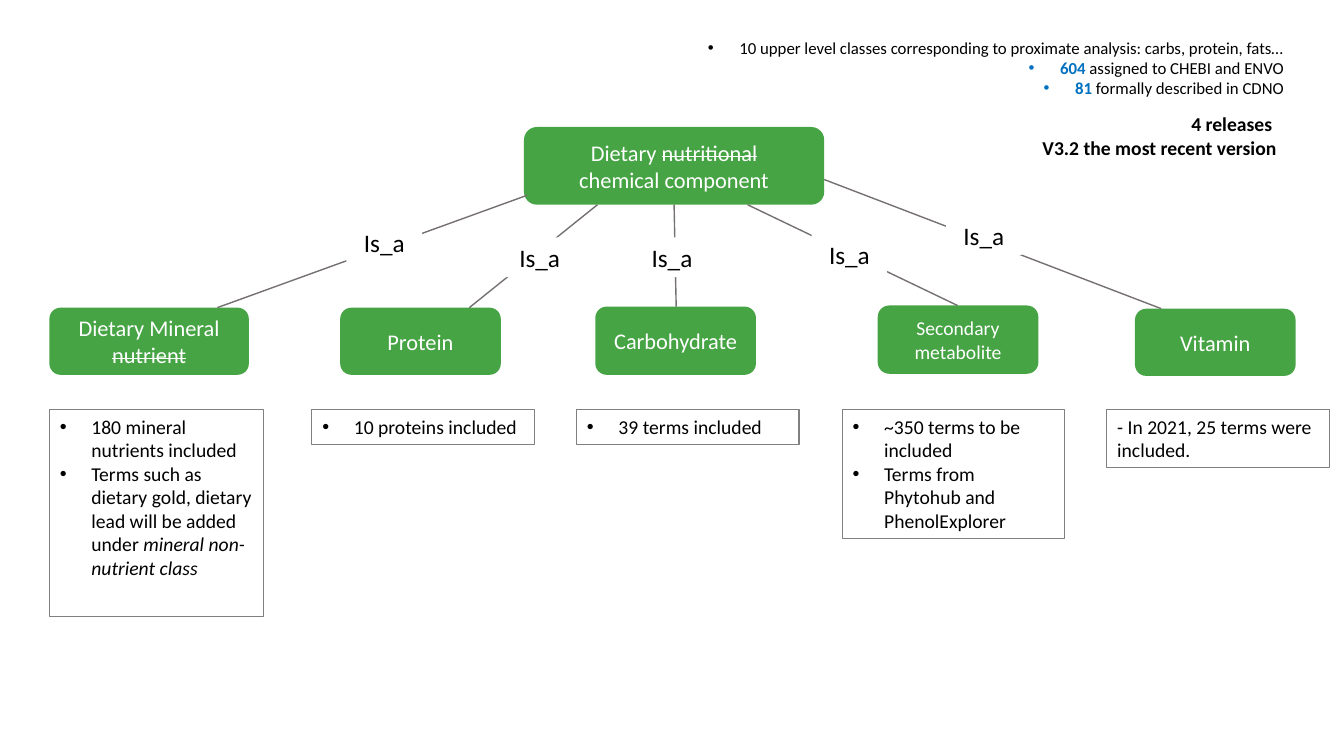
from dataclasses import dataclass
from lxml import etree
from pptx import Presentation
from pptx.dml.color import RGBColor
from pptx.enum.shapes import MSO_CONNECTOR, MSO_SHAPE
from pptx.enum.text import MSO_ANCHOR, MSO_AUTO_SIZE, PP_ALIGN
from pptx.oxml.ns import qn
from pptx.util import Pt

ROUND, RECT = MSO_SHAPE.ROUNDED_RECTANGLE, MSO_SHAPE.RECTANGLE
LEFT, MID, RIGHT = PP_ALIGN.LEFT, PP_ALIGN.CENTER, PP_ALIGN.RIGHT
PX = 9525  # EMU in one px, 96 px to the inch


@dataclass(frozen=True)
class Theme:
    font: str = "Calibri"
    green: str = "46A444"
    white: str = "FFFFFF"
    black: str = "000000"
    blue: str = "0070C0"
    line: str = "767171"
    edge: str = "808080"
    fact: int = 12
    note: int = 14
    node: int = 16
    link: int = 18


T = Theme()

# Each text is a list of paragraphs, each paragraph a list of (words, style) runs
ROOT = [[("Dietary ", ""), ("nutritional", "strike"), (" chemical component", "")]]
FACTS = [
    [("10 upper level classes corresponding to proximate analysis: carbs, protein, fats…", "")],
    [("604 ", "key"), ("assigned to CHEBI and ENVO", "")],
    [("81 ", "key"), ("formally described in CDNO", "")],
]
NEWS = [[("4 releases ", "bold")], [("V3.2 the most recent version", "bold")]]

# Node box, text, size; line ends; link label corner; note box, text, bullets
BRANCHES = [
    ((47, 293, 190, 64), [[("Dietary Mineral ", ""), ("nutrient", "strike")]], T.node,
     (502, 186, 207, 293), (330, 212), (47, 390, 204, 197),
     [[("180 mineral nutrients included", "")],
      [("Terms such as dietary gold, dietary lead will be added under ", ""),
       ("mineral non-nutrient class", "italic")]], True),
    ((324, 293, 153, 64), [[("Protein", "")]], T.node,
     (569, 195, 447, 293), (478, 226), (297, 390, 212, 33),
     [[("10 proteins included", "")]], True),
    ((567, 292, 153, 65), [[("Carbohydrate", "")]], T.node,
     (642, 195, 644, 292), (604, 226), (549, 390, 212, 33),
     [[("39 terms included", "")]], True),
    ((836, 291, 153, 65), [[("Secondary metabolite", "")]], T.note,
     (712, 195, 912, 291), (773, 223), (802, 390, 212, 123),
     [[("~350 terms to be included", "")],
      [("Terms from Phytohub and PhenolExplorer", "")]], True),
    ((1081, 294, 153, 64), [[("Vitamin", "")]], T.node,
     (785, 171, 1106, 294), (901, 205), (1054, 390, 212, 55),
     [[("- In 2021, 25 terms were included.", "")]], False),
]


def rgb(code):
    return RGBColor.from_string(code)


def emu(box):
    return [n * PX for n in box]


def bullet(para):
    props = para._p.get_or_add_pPr()
    props.set("marL", str(30 * PX))
    props.set("indent", str(-30 * PX))
    etree.SubElement(props, qn("a:buFont")).set("typeface", "Arial")
    etree.SubElement(props, qn("a:buChar")).set("char", "•")


def write(frame, text, size, color=T.black, align=LEFT, dots=False, pad=10):
    frame.word_wrap = True
    frame.auto_size = MSO_AUTO_SIZE.NONE
    frame.margin_left = frame.margin_right = pad * PX
    frame.margin_top = frame.margin_bottom = 5 * PX
    for i, runs in enumerate(text):
        para = frame.add_paragraph() if i else frame.paragraphs[0]
        para.alignment = align
        para.space_before = Pt(0)
        if dots:
            bullet(para)
        for words, style in runs:
            run = para.add_run()
            run.text = words
            font = run.font
            font.name, font.size = T.font, Pt(size)
            font.bold = style in ("key", "bold")
            font.italic = style == "italic"
            font.color.rgb = rgb(T.blue if style == "key" else color)
            if style == "strike":
                run._r.get_or_add_rPr().set("strike", "sngStrike")


def panel(slide, kind, box, fill=None, edge=None):
    shape = slide.shapes.add_shape(kind, *emu(box))
    shape.shadow.inherit = False
    if fill:
        shape.fill.solid()
        shape.fill.fore_color.rgb = rgb(fill)
    else:
        shape.fill.background()
    if edge:
        shape.line.color.rgb = rgb(edge)
        shape.line.width = Pt(0.75)
    else:
        shape.line.fill.background()
    return shape


def node(slide, box, text, size, pad=10):
    shape = panel(slide, ROUND, box, T.green)
    write(shape.text_frame, text, size, T.white, MID, pad=pad)


def link(slide, ends, spot):
    line = slide.shapes.add_connector(MSO_CONNECTOR.STRAIGHT, *emu(ends))
    line.line.color.rgb = rgb(T.line)
    line.line.width = Pt(1)
    etree.SubElement(line._element.spPr, qn("a:effectLst"))
    label = panel(slide, RECT, (*spot, 72, 38), T.white)
    write(label.text_frame, [[("Is_a", "")]], T.link, align=MID)


def note(slide, box, text, dots):
    shape = panel(slide, RECT, box, edge=T.edge)
    shape.text_frame.vertical_anchor = MSO_ANCHOR.TOP
    write(shape.text_frame, text, T.note, dots=dots)


def facts(slide, box):
    body = slide.placeholders[1]
    body.left, body.top, body.width, body.height = emu(box)
    write(body.text_frame, FACTS, T.fact, align=RIGHT, dots=True)


def news(slide, box):
    text = slide.shapes.add_textbox(*emu(box))
    write(text.text_frame, NEWS, T.note, align=RIGHT)


def main():
    deck = Presentation()
    deck.slide_width, deck.slide_height = emu((1280, 720))
    slide = deck.slides.add_slide(deck.slide_layouts[1])
    title = slide.shapes.title._element
    title.getparent().remove(title)

    # Summary at top right
    facts(slide, (565, 31, 668, 68))
    news(slide, (900, 102, 326, 55))

    # Class tree with notes
    node(slide, (499, 121, 286, 74), ROOT, T.node, pad=46)
    for box, text, size, ends, spot, area, items, dots in BRANCHES:
        node(slide, box, text, size)
        link(slide, ends, spot)
        note(slide, area, items, dots)

    deck.save("out.pptx")


if __name__ == "__main__":
    main()
